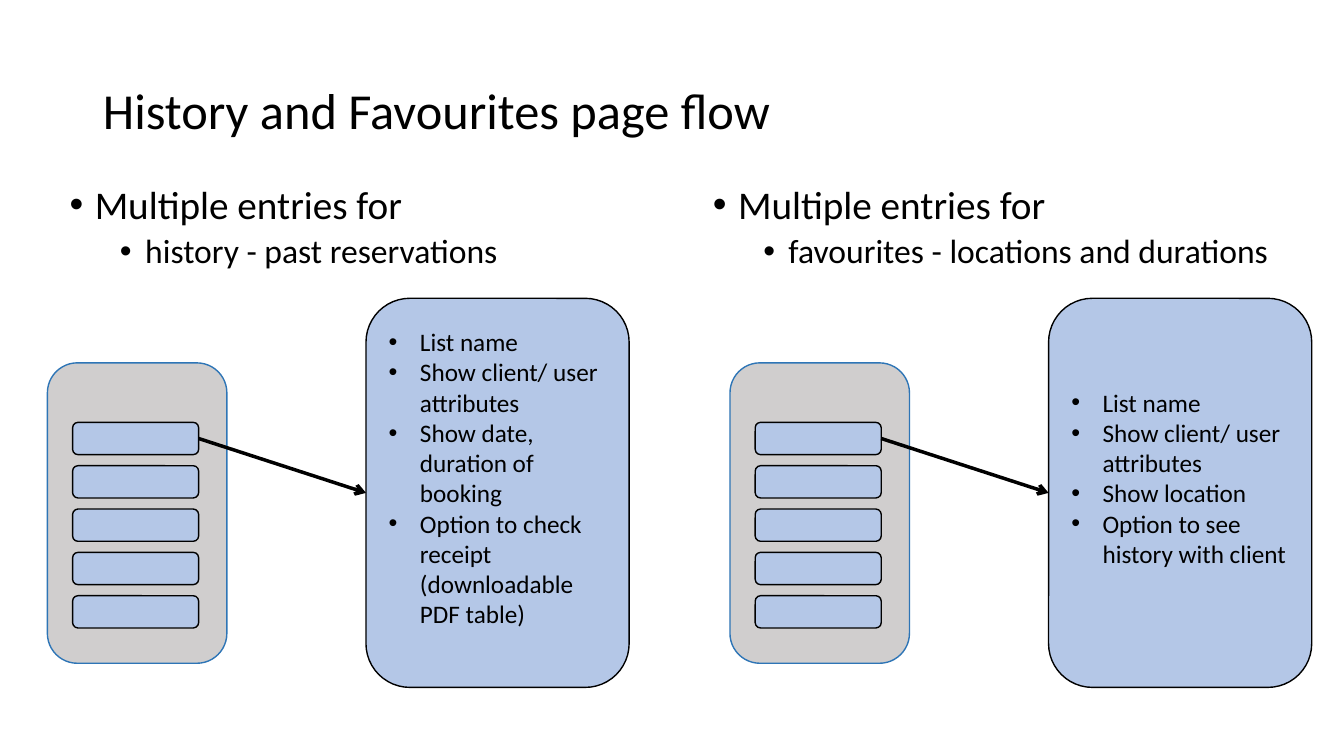
from lxml.etree import SubElement
from pptx import Presentation
from pptx.dml.color import RGBColor
from pptx.enum.shapes import MSO_CONNECTOR, MSO_SHAPE
from pptx.enum.text import MSO_ANCHOR, MSO_AUTO_SIZE, PP_ALIGN
from pptx.oxml.ns import qn
from pptx.util import Inches, Pt


def rgb(value):
    return RGBColor.from_string(value)


def write(p, text, size, margin=0, indent=0):
    p.alignment = PP_ALIGN.LEFT
    r = p.add_run()
    r.text = text
    r.font.name = "Calibri"
    r.font.size = Pt(size)
    r.font.color.rgb = rgb("000000")
    if margin:
        pPr = p._p.get_or_add_pPr()
        pPr.set("marL", str(Inches(margin)))
        pPr.set("indent", str(Inches(-indent)))
        SubElement(pPr, qn("a:buFont"), typeface="Arial")
        SubElement(pPr, qn("a:buChar"), char="•")


prs = Presentation()
prs.slide_width, prs.slide_height = Inches(13.33), Inches(7.5)
s = prs.slides.add_slide(prs.slide_layouts[3])
title, *bodies = s.placeholders

title.left, title.top, title.width, title.height = map(Inches, (0.92, 0.4, 11.5, 1.45))
title.text_frame.auto_size = MSO_AUTO_SIZE.NONE
title.text_frame.vertical_anchor = MSO_ANCHOR.MIDDLE
p = title.text_frame.paragraphs[0]
p.line_spacing = 0.9
write(p, "History and Favourites page flow", 36)

flows = [
    ("history - past reservations",
     ["List name", "Show client/ user attributes", "Show date, duration of booking",
      "Option to check receipt (downloadable PDF table)"]),
    ("favourites - locations and durations",
     ["List name", "Show client/ user attributes", "Show location",
      "Option to see history with client"]),
]
body_step, flow_step = 6.38, 6.77
entry_top, entry_pitch, entry_count = 4.19, 0.43, 5

for col, (body, (subject, details)) in enumerate(zip(bodies, flows)):
    body.left, body.top = Inches(0.59 + col * body_step), Inches(1.79)
    body.width, body.height = Inches(7.27), Inches(5.38)
    tf = body.text_frame
    tf.auto_size = MSO_AUTO_SIZE.NONE
    lines = [("Multiple entries for", 28, 0.25, 10), (subject, 24, 0.75, 5)]
    for level, (text, size, margin, before) in enumerate(lines):
        p = tf.add_paragraph() if level else tf.paragraphs[0]
        p.level = level
        p.line_spacing = 0.9
        p.space_before = Pt(before)
        write(p, text, size, margin, 0.25)

    x = col * flow_step
    group = s.shapes.add_group_shape()
    boxes = [(0.47, 3.6, 1.78, 2.98, "D0CECE", "2E75B6")]
    boxes += [(0.72, entry_top + row * entry_pitch, 1.25, 0.32, "B4C7E7", "000000")
              for row in range(entry_count)]
    boxes.append((3.63, 2.96, 2.61, 3.86, "B4C7E7", "000000"))
    drawn = []
    for left, top, width, height, fill, line in boxes:
        sp = group.shapes.add_shape(MSO_SHAPE.ROUNDED_RECTANGLE, Inches(left + x), Inches(top),
                                    Inches(width), Inches(height))
        sp.shadow.inherit = False
        sp.fill.solid()
        sp.fill.fore_color.rgb = rgb(fill)
        sp.line.color.rgb = rgb(line)
        sp.line.width = Pt(1)
        drawn.append(sp)

    first_entry, detail = drawn[1], drawn[-1]
    tf = detail.text_frame
    tf.word_wrap = True
    tf.vertical_anchor = MSO_ANCHOR.MIDDLE
    tf.margin_bottom = Inches(0.35)
    for i, text in enumerate(details):
        p = tf.add_paragraph() if i else tf.paragraphs[0]
        write(p, text, 18, 0.31, 0.31)

    arrow = group.shapes.add_connector(MSO_CONNECTOR.STRAIGHT, 0, 0, 0, 0)
    arrow.begin_connect(first_entry, 3)
    arrow.end_connect(detail, 1)
    arrow.line.color.rgb = rgb("000000")
    arrow.line.width = Pt(2.5)
    SubElement(arrow.line._get_or_add_ln(), qn("a:tailEnd"), type="arrow")
    SubElement(arrow._element.spPr, qn("a:effectLst"))

prs.save("out.pptx")
